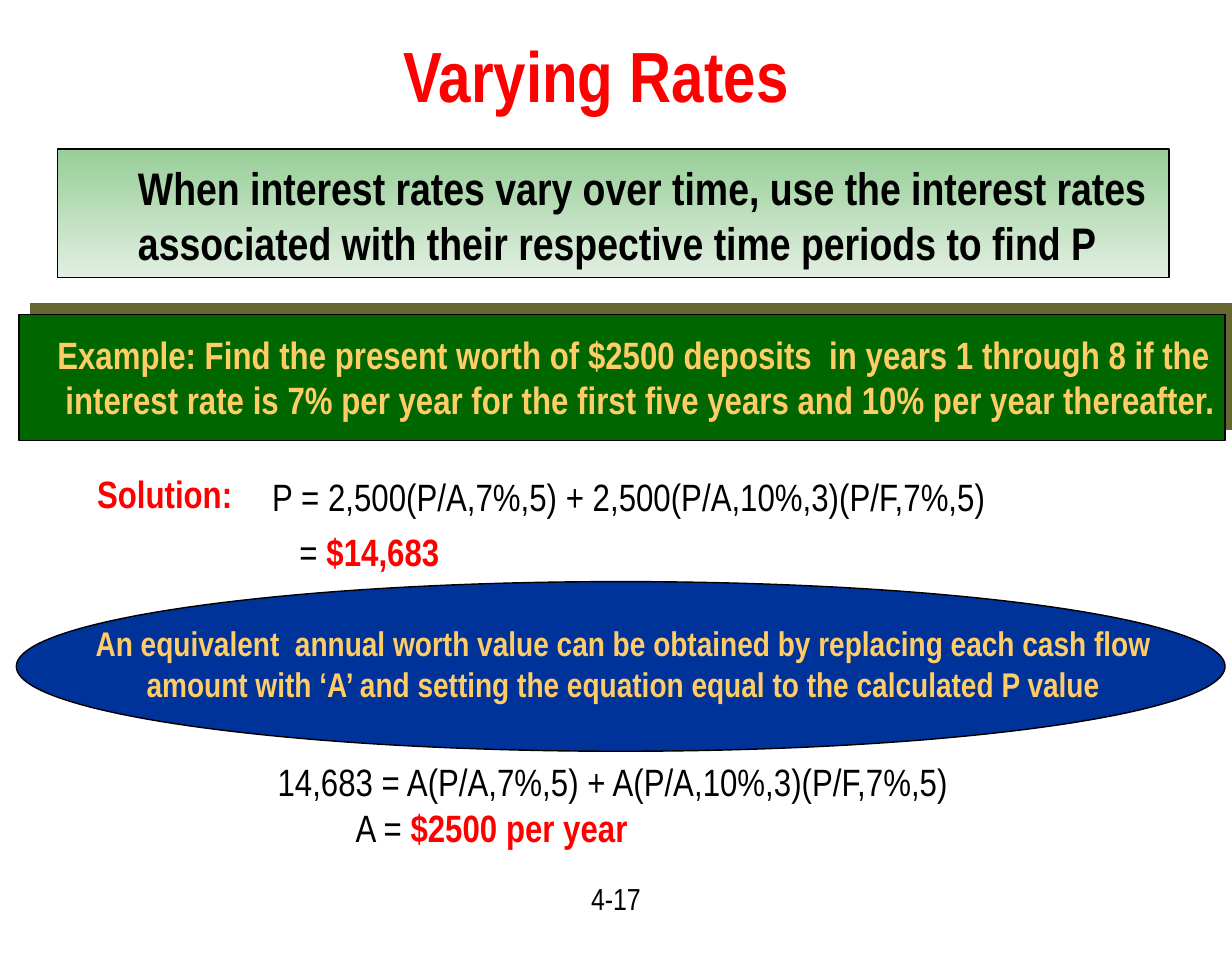
from lxml.etree import SubElement
from pptx import Presentation
from pptx.dml.color import RGBColor
from pptx.enum.shapes import MSO_SHAPE
from pptx.enum.text import MSO_ANCHOR, PP_ALIGN
from pptx.oxml.ns import qn
from pptx.util import Inches, Pt

COLORS = {
    "black": "000000", "red": "FF0000", "gold": "FFCC66",
    "green": "006600", "blue": "003399", "olive": "666633",
    "mint": "98CE98", "pale": "E1EFE1",
}
FONT = "Arial Narrow"
WIDTH, HEIGHT = Inches(9), Inches(7)
LEFT, CENTER = PP_ALIGN.LEFT, PP_ALIGN.CENTER

# Boxes are left, top, width, height in percent of the slide
# Panels: box, outline, fill colours
PANELS = {
    "rule": ((4.67, 15.57, 90.22, 13.43), MSO_SHAPE.RECTANGLE, ("mint", "pale")),
    "example": ((1.56, 32.86, 97.89, 13.14), MSO_SHAPE.RECTANGLE, ("green",)),
    "hint": ((1.33, 60.71, 98.11, 17.71), MSO_SHAPE.OVAL, ("blue",)),
}

# Texts: box, size, alignment, lines of (wording, colour, bold) runs
TEXTS = [
    ((5.89, 2.43, 85, 10.71), 37.4, CENTER, [[("Varying Rates", "red", True)]]),
    ((10.11, 16, 84.89, 12.86), 24, LEFT, [
        [("When interest rates vary over time, use the interest rates", "black", True)],
        [("associated with their respective time periods to find P", "black", True)]]),
    ((3.56, 33.86, 96.56, 11), 20, LEFT, [
        [("Example: Find the present worth of $2500 deposits  in years 1 through 8 if the",
          "gold", True)],
        [("interest rate is 7% per year for the first five years and 10% per year thereafter.",
          "gold", True)]]),
    ((6.78, 48.43, 13.89, 6.29), 20, LEFT, [[("Solution:", "red", True)]]),
    ((21, 48.71, 63, 6.29), 20, LEFT, [
        [("P = 2,500(P/A,7%,5) + 2,500(P/A,10%,3)(P/F,7%,5)", "black", False)]]),
    ((23.22, 54.43, 14, 6.29), 20, LEFT, [
        [("= ", "black", False), ("$14,683", "red", True)]]),
    ((6.33, 64.29, 88.56, 10), 18, CENTER, [
        [("An equivalent  annual worth value can be obtained by replacing each cash flow",
          "gold", True)],
        [("amount with ‘A’ and setting the equation equal to the calculated P value",
          "gold", True)]]),
    ((21.44, 78.43, 60.22, 6.29), 20, LEFT, [
        [("14,683 = A(P/A,7%,5) + A(P/A,10%,3)(P/F,7%,5)", "black", False)]]),
    ((27.78, 83.29, 25.56, 6.29), 20, LEFT, [
        [("A = ", "black", False), ("$2500 per year", "red", True)]]),
    ((43.33, 91.14, 13.33, 6.71), 16, CENTER, [[("4-17", "black", False)]]),
]


def rgb(color):
    return RGBColor.from_string(COLORS[color])


def place(box):
    return [round(share * side / 100)
            for share, side in zip(box, (WIDTH, HEIGHT) * 2)]


def add_panel(slide, box, outline, fills):
    panel = slide.shapes.add_shape(outline, *place(box))
    panel.shadow.inherit = False
    panel.line.color.rgb = rgb("black")
    panel.line.width = Pt(0.75)
    if len(fills) == 1:
        panel.fill.solid()
        panel.fill.fore_color.rgb = rgb(fills[0])
    else:
        panel.fill.gradient()
        panel.fill.gradient_angle = 270
        for stop, color in zip(panel.fill.gradient_stops, fills):
            stop.color.rgb = rgb(color)
    return panel


def add_hard_shadow(panel, color):
    effects = panel.element.spPr.find(qn("a:effectLst"))
    shadow = SubElement(effects, qn("a:outerShdw"), blurRad="0",
                        dist=str(Pt(8.5)), dir=str(315 * 60000),
                        algn="ctr", rotWithShape="0")
    SubElement(shadow, qn("a:srgbClr"), val=COLORS[color])


def add_text(slide, box, size, align, lines):
    frame = slide.shapes.add_textbox(*place(box)).text_frame
    frame.word_wrap = True
    for number, runs in enumerate(lines):
        paragraph = frame.add_paragraph() if number else frame.paragraphs[0]
        paragraph.alignment = align
        for wording, color, bold in runs:
            run = paragraph.add_run()
            run.text = wording
            run.font.name = FONT
            run.font.size = Pt(size)
            run.font.bold = bold
            run.font.color.rgb = rgb(color)
    return frame


def main():
    deck = Presentation()
    deck.slide_width, deck.slide_height = WIDTH, HEIGHT
    slide = deck.slides.add_slide(deck.slide_layouts[6])

    # Coloured panels
    panels = {part: add_panel(slide, *look) for part, look in PANELS.items()}
    add_hard_shadow(panels["example"], "olive")

    # Wording
    title, rule, example, *rest = [add_text(slide, *text) for text in TEXTS]
    title.vertical_anchor = MSO_ANCHOR.MIDDLE

    # The second line of the example is set in slightly
    indented = example.paragraphs[1]._p.get_or_add_pPr()
    indented.set("marL", str(Inches(0.06)))
    indented.set("indent", "0")

    deck.save("out.pptx")


if __name__ == "__main__":
    main()
